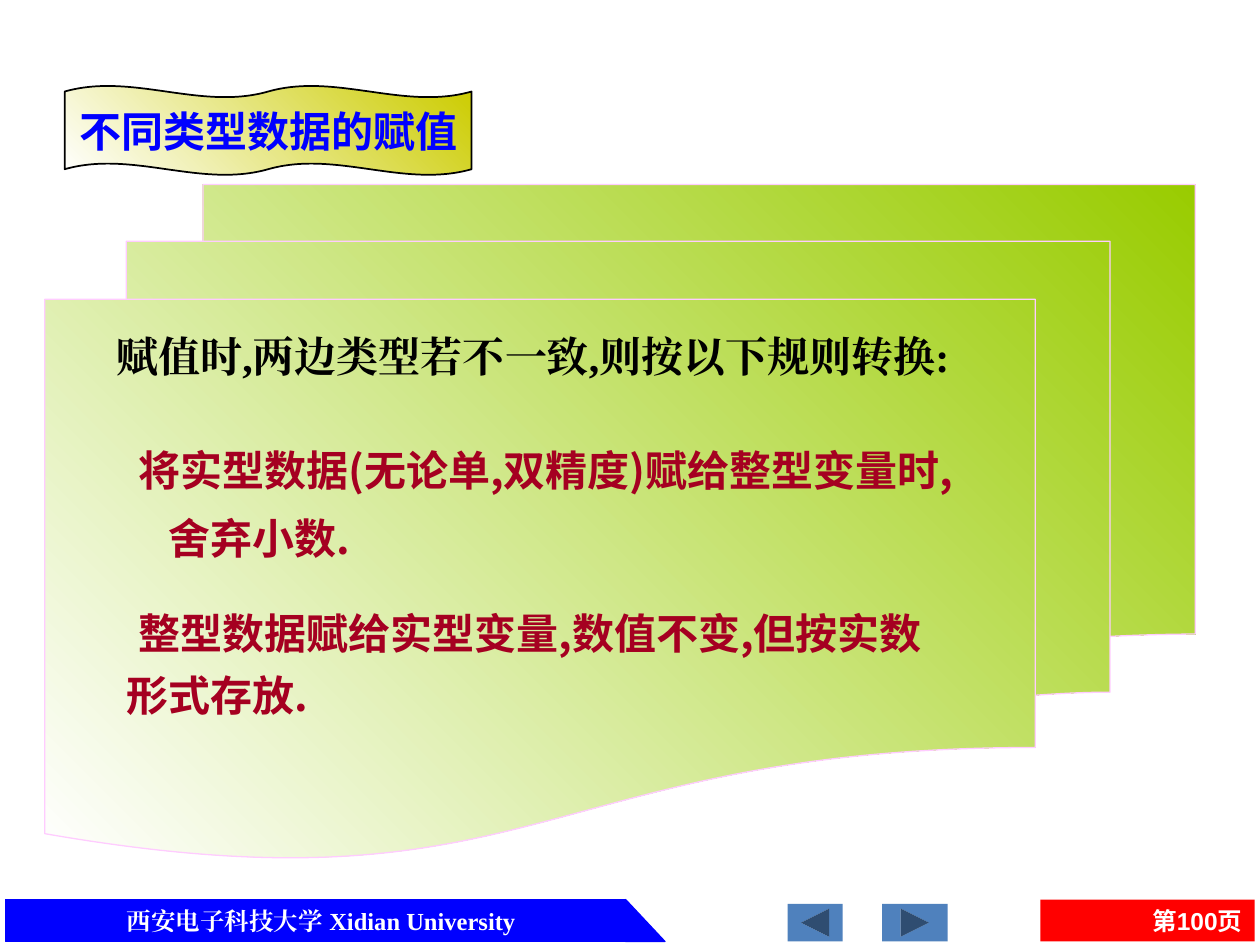
"""Build a slide on assignment between different data types."""
from lxml.etree import SubElement
from pptx import Presentation
from pptx.dml.color import RGBColor
from pptx.enum.shapes import MSO_SHAPE as Shape
from pptx.enum.text import MSO_ANCHOR as Anchor, PP_ALIGN as Align
from pptx.oxml.ns import qn
from pptx.util import Pt

WHITE = RGBColor(0xFF, 0xFF, 0xFF)
BLACK = RGBColor(0, 0, 0)
BLUE = RGBColor(0, 0, 0xFF)
RED = RGBColor(0xFF, 0, 0)
STEEL = RGBColor(0x4F, 0x81, 0xBD)
GREEN = RGBColor(0x99, 0xCC, 0)
OLIVE = RGBColor(0xCC, 0xCC, 0)
PINK = RGBColor(0xFF, 0xCC, 0xFF)
CRIMSON = RGBColor(0xA5, 0, 0x21)

SERIF, SANS, CHINESE = "Times New Roman", "Arial", "Noto Sans CJK SC"
FOOTER_TOP, FOOTER_HEIGHT = 514, 24
BUTTON_TOP, BUTTON_HEIGHT = 516.5, 21.5
HANGING = 30

TITLE = "不同类型数据的赋值"
INTRO = "赋值时,两边类型若不一致,则按以下规则转换:"
RULES = [
    ((65, 247.5, 574, 90), 1.1,
     [("将实型数据(无论单,双精度)赋给整型变量时,", 7), ("舍弃小数.", 24)]),
    ((65, 343.5, 569, 84), None,
     [("整型数据赋给实型变量,数值不变,但按实数", 7), ("形式存放.", 0)]),
]
BUTTONS = [(504, 37.5, 0), (450, 31.5, 180)]


def add_shape(slide, kind, box, color, line=None, width=0.75, gradient=False):
    shape = slide.shapes.add_shape(kind, *map(Pt, box))
    shape.shadow.inherit = False
    if gradient:
        shape.fill.gradient()
        shape.fill.gradient_angle = 45
        for stop, position, stop_color in zip(shape.fill.gradient_stops, (0, 1), (WHITE, color)):
            stop.position = position
            stop.color.rgb = stop_color
    else:
        shape.fill.solid()
        shape.fill.fore_color.rgb = color
    if line is None:
        shape.line.fill.background()
    else:
        shape.line.color.rgb = line
        shape.line.width = Pt(width)
    return shape


def write(shape, texts, size, name, color, align=Align.LEFT, anchor=Anchor.TOP,
          wrap=True, spacing=None):
    frame = shape.text_frame
    frame.word_wrap = wrap
    frame.vertical_anchor = anchor
    for index, text in enumerate(texts):
        paragraph = frame.add_paragraph() if index else frame.paragraphs[0]
        paragraph.text = text
        paragraph.alignment = align
        if spacing:
            paragraph.line_spacing = spacing
        if index:
            paragraph.space_before = Pt(7)
        font = paragraph.font
        font.size, font.bold, font.name = Pt(size), True, name
        font.color.rgb = color
        properties = paragraph._p.find(qn("a:pPr")).find(qn("a:defRPr"))
        SubElement(properties, qn("a:ea")).set("typeface", name)
    return frame


def add_text(slide, box, texts, *style, **options):
    return write(slide.shapes.add_textbox(*map(Pt, box)), texts, *style, **options)


def add_footer(slide):
    add_shape(slide, Shape.RECTANGLE, (3, FOOTER_TOP, 354.5, FOOTER_HEIGHT), BLUE, BLUE)
    add_shape(slide, Shape.RIGHT_TRIANGLE, (357.5, FOOTER_TOP, 22.5, FOOTER_HEIGHT), BLUE, BLUE)
    add_text(slide, (24, FOOTER_TOP, 319, FOOTER_HEIGHT), ["西安电子科技大学\u3000Xidian University".replace("\u3000", " ")],
             14, SERIF, WHITE, align=Align.CENTER)
    page = add_shape(slide, Shape.RECTANGLE, (594.5, FOOTER_TOP, 122.5, FOOTER_HEIGHT), RED)
    write(page, ["第100页"], 14, SANS, WHITE, align=Align.RIGHT, anchor=Anchor.MIDDLE)
    for left, width, rotation in BUTTONS:
        button = add_shape(slide, Shape.ACTION_BUTTON_FORWARD_OR_NEXT,
                           (left, BUTTON_TOP, width, BUTTON_HEIGHT), STEEL)
        button.rotation = rotation


def add_content(slide):
    add_shape(slide, Shape.FLOWCHART_MULTIDOCUMENT, (25.5, 105.5, 657.5, 385.5),
              GREEN, PINK, gradient=True)
    for box, spacing, lines in RULES:
        frame = add_text(slide, box, [text for text, _ in lines], 24, CHINESE, CRIMSON,
                         spacing=spacing)
        for paragraph, (_, start) in zip(frame.paragraphs, lines):
            properties = paragraph._p.get_or_add_pPr()
            properties.set("marL", str(Pt(HANGING)))
            properties.set("indent", str(Pt(start - HANGING)))
    add_text(slide, (59.5, 188.5, 493, 33), [INTRO], 24, SERIF, BLACK, spacing=0.9)
    banner = add_shape(slide, Shape.DOUBLE_WAVE, (37, 49, 232.5, 51), OLIVE, BLACK, 1,
                       gradient=True)
    banner.adjustments[0] = 0.065
    write(banner, [TITLE], 24, CHINESE, BLUE, align=Align.CENTER, anchor=Anchor.MIDDLE,
          wrap=False)


def main():
    presentation = Presentation()
    presentation.slide_width, presentation.slide_height = Pt(720), Pt(540)
    slide = presentation.slides.add_slide(presentation.slide_layouts[6])
    add_footer(slide)
    add_content(slide)
    presentation.save("out.pptx")


if __name__ == "__main__":
    main()
